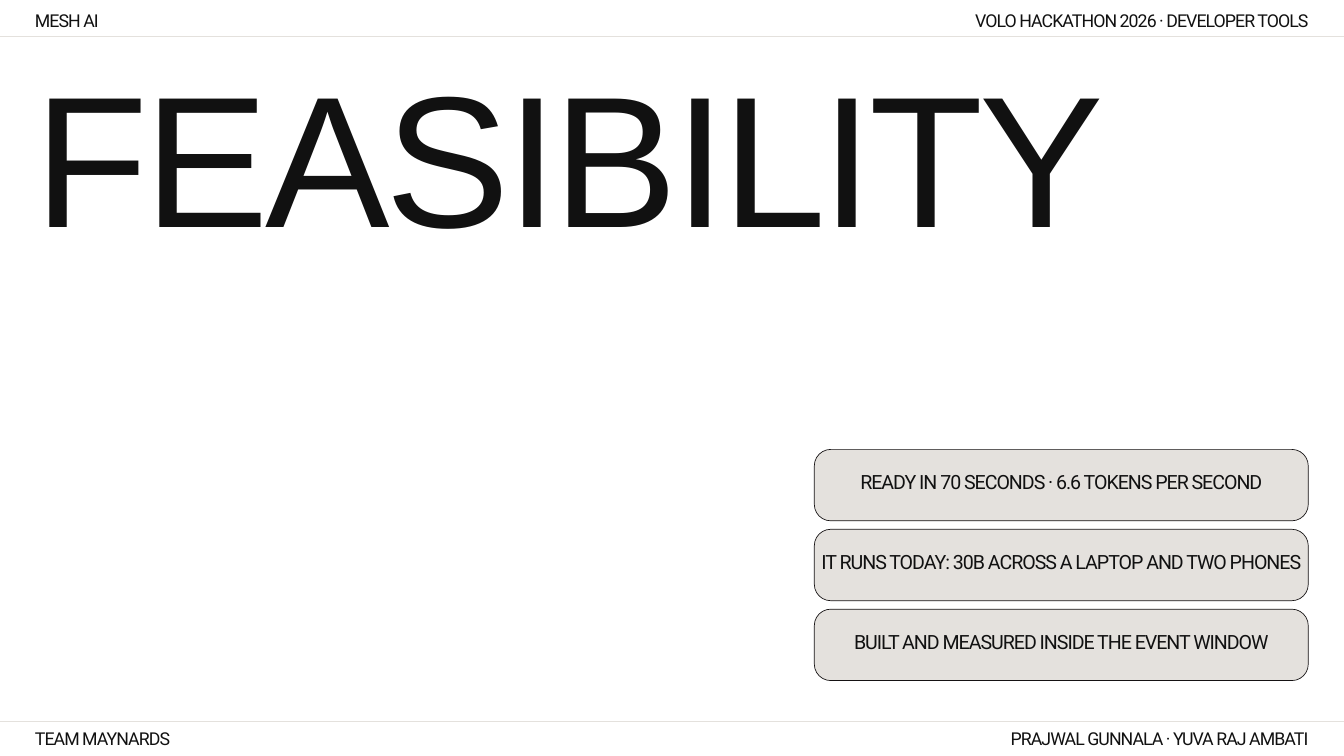
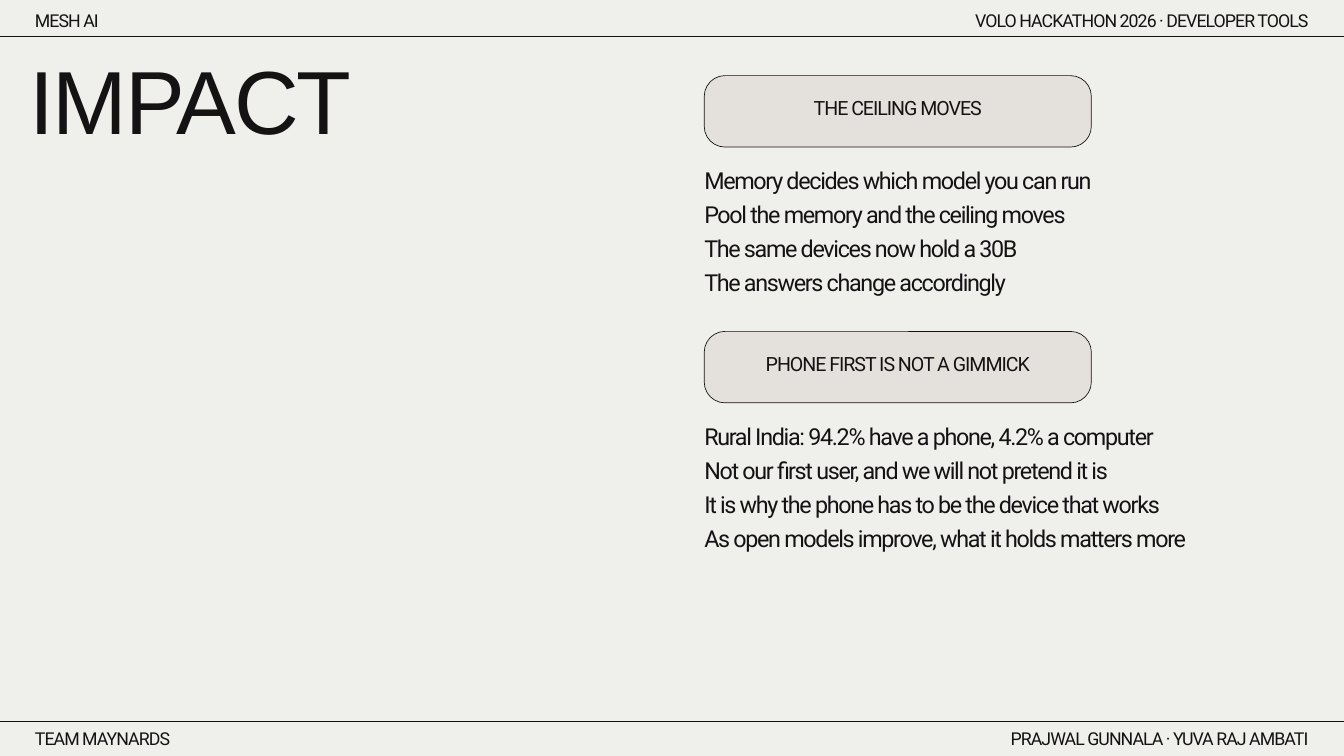
"""Build the feasibility and impact slides of the Mesh AI deck."""
from dataclasses import dataclass

from lxml.etree import SubElement
from pptx import Presentation
from pptx.dml.color import RGBColor
from pptx.enum.shapes import MSO_CONNECTOR, MSO_SHAPE
from pptx.enum.text import MSO_ANCHOR as Anchor, MSO_AUTO_SIZE as AutoSize, PP_ALIGN as Align
from pptx.oxml.ns import qn
from pptx.slide import Slide
from pptx.text.text import TextFrame
from pptx.util import Cm, Pt

COLORS = {
    "white": "FFFFFF",
    "paper": "EFEFEC",
    "stone": "E4E1DD",
    "black": "111111",
    "ink": "151213",
}
MARGIN = 1.32
RIGHT_EDGE = 49.46
PILL_HEIGHT = 2.7


@dataclass(frozen=True)
class Style:
    """Type settings in points."""
    font: str
    size: float
    leading: float
    tracking: float
    after: float = 0
    align: Align = Align.LEFT


@dataclass(frozen=True)
class Box:
    """Position and size in centimetres."""
    left: float
    top: float
    width: float
    height: float


@dataclass(frozen=True)
class Label:
    """A running header or footer entry."""
    text: str
    top: float
    width: float
    align: Align


@dataclass(frozen=True)
class Topic:
    """A pill heading with the lines below it."""
    heading: str
    lines: tuple[str, ...]


HERO = Style("Arial", 200, 200, -4.4)
TITLE = Style("Arial", 96, 96, -2.1)
PILL = Style("Roboto", 21, 29.4, -1.1, align=Align.CENTER)
BODY = Style("Roboto", 25, 27.5, -1.4, after=9)

LABELS = (
    Label("MESH AI", 0.25, 7.82, Align.LEFT),
    Label("VOLO HACKATHON 2026 · DEVELOPER TOOLS", 0.25, 17.68, Align.RIGHT),
    Label("TEAM MAYNARDS", 27.38, 11.76, Align.LEFT),
    Label("PRAJWAL GUNNALA · YUVA RAJ AMBATI", 27.38, 11.76, Align.RIGHT),
)
RULE_TOPS = (1.37, 27.28)

PROOFS = (
    "READY IN 70 SECONDS · 6.6 TOKENS PER SECOND",
    "IT RUNS TODAY: 30B ACROSS A LAPTOP AND TWO PHONES",
    "BUILT AND MEASURED INSIDE THE EVENT WINDOW",
)
TOPICS = (
    Topic("THE CEILING MOVES", (
        "Memory decides which model you can run",
        "Pool the memory and the ceiling moves",
        "The same devices now hold a 30B",
        "The answers change accordingly",
    )),
    Topic("PHONE FIRST IS NOT A GIMMICK", (
        "Rural India: 94.2% have a phone, 4.2% a computer",
        "Not our first user, and we will not pretend it is",
        "It is why the phone has to be the device that works",
        "As open models improve, what it holds matters more",
    )),
)


def color(name: str) -> RGBColor:
    """Look up a palette colour."""
    return RGBColor.from_string(COLORS[name])


def write(frame: TextFrame, text: str, style: Style, ink: str) -> None:
    """Fill a text frame and format every paragraph."""
    frame.word_wrap = True
    frame.margin_left = frame.margin_right = frame.margin_top = frame.margin_bottom = 0
    frame.text = text
    for paragraph in frame.paragraphs:
        paragraph.alignment = style.align
        paragraph.line_spacing = Pt(style.leading)
        paragraph.space_after = Pt(style.after)
        for run in paragraph.runs:
            run.font.name = style.font
            run.font.size = Pt(style.size)
            run.font.color.rgb = color(ink)
            run._r.get_or_add_rPr().set("spc", str(round(style.tracking * 100)))


def add_text(slide: Slide, box: Box, text: str, style: Style, ink: str) -> None:
    """Place a text box that grows with its text."""
    frame = slide.shapes.add_textbox(
        Cm(box.left), Cm(box.top), Cm(box.width), Cm(box.height)).text_frame
    write(frame, text, style, ink)
    frame.auto_size = AutoSize.SHAPE_TO_FIT_TEXT


def add_pill(slide: Slide, box: Box, roundness: float, text: str, ink: str) -> None:
    """Draw an outlined rounded pill with its text slightly above the middle."""
    pill = slide.shapes.add_shape(
        MSO_SHAPE.ROUNDED_RECTANGLE, Cm(box.left), Cm(box.top), Cm(box.width), Cm(box.height))
    pill.shadow.inherit = False
    pill.adjustments[0] = roundness
    pill.fill.solid()
    pill.fill.fore_color.rgb = color("stone")
    pill.line.color.rgb = color("ink")
    pill.line.width = Pt(0.75)
    write(pill.text_frame, text, PILL, ink)
    pill.text_frame.vertical_anchor = Anchor.MIDDLE
    pill.text_frame.margin_bottom = Cm(0.4)


def add_rule(slide: Slide, top: float, stroke: str) -> None:
    """Draw a thin rule across the whole slide."""
    rule = slide.shapes.add_connector(
        MSO_CONNECTOR.STRAIGHT, Cm(-2.46), Cm(top), Cm(53.26), Cm(top))
    rule.line.color.rgb = color(stroke)
    rule.line.width = Pt(0.75)
    SubElement(rule._element.spPr, qn("a:effectLst"))


def start_slide(deck: Presentation, background: str, ink: str, stroke: str) -> Slide:
    """Add a slide with its background, running labels and rules."""
    slide = deck.slides.add_slide(deck.slide_layouts[6])
    slide.background.fill.solid()
    slide.background.fill.fore_color.rgb = color(background)
    for label in LABELS:
        left = MARGIN if label.align == Align.LEFT else RIGHT_EDGE - label.width
        style = Style("Roboto", 19, 26.6, -1, align=label.align)
        add_text(slide, Box(left, label.top, label.width, 0.89), label.text, style, ink)
    for top in RULE_TOPS:
        add_rule(slide, top, stroke)
    return slide


def build_feasibility(deck: Presentation) -> None:
    """Build the feasibility slide."""
    slide = start_slide(deck, "white", "black", "stone")
    add_text(slide, Box(MARGIN, 2.95, 46.81, 7.42), "FEASIBILITY", HERO, "black")
    for row, proof in enumerate(PROOFS):
        add_pill(slide, Box(30.78, 16.99 + row * 3.02, 18.67, PILL_HEIGHT), 0.23, proof, "black")


def build_impact(deck: Presentation) -> None:
    """Build the impact slide."""
    slide = start_slide(deck, "paper", "ink", "ink")
    add_text(slide, Box(1.12, 2.36, 21.06, 6.96), "IMPACT", TITLE, "ink")
    for row, topic in enumerate(TOPICS):
        top = 2.86 + row * 9.67
        add_pill(slide, Box(26.62, top, 14.63, PILL_HEIGHT), 0.29, topic.heading, "ink")
        add_text(slide, Box(26.62, top + 3.52, 22.83, 4.83), "\n".join(topic.lines), BODY, "ink")


def main() -> None:
    """Create and save the deck."""
    deck = Presentation()
    deck.slide_width, deck.slide_height = Cm(50.8), Cm(28.58)
    build_feasibility(deck)
    build_impact(deck)
    deck.save("out.pptx")


if __name__ == "__main__":
    main()
